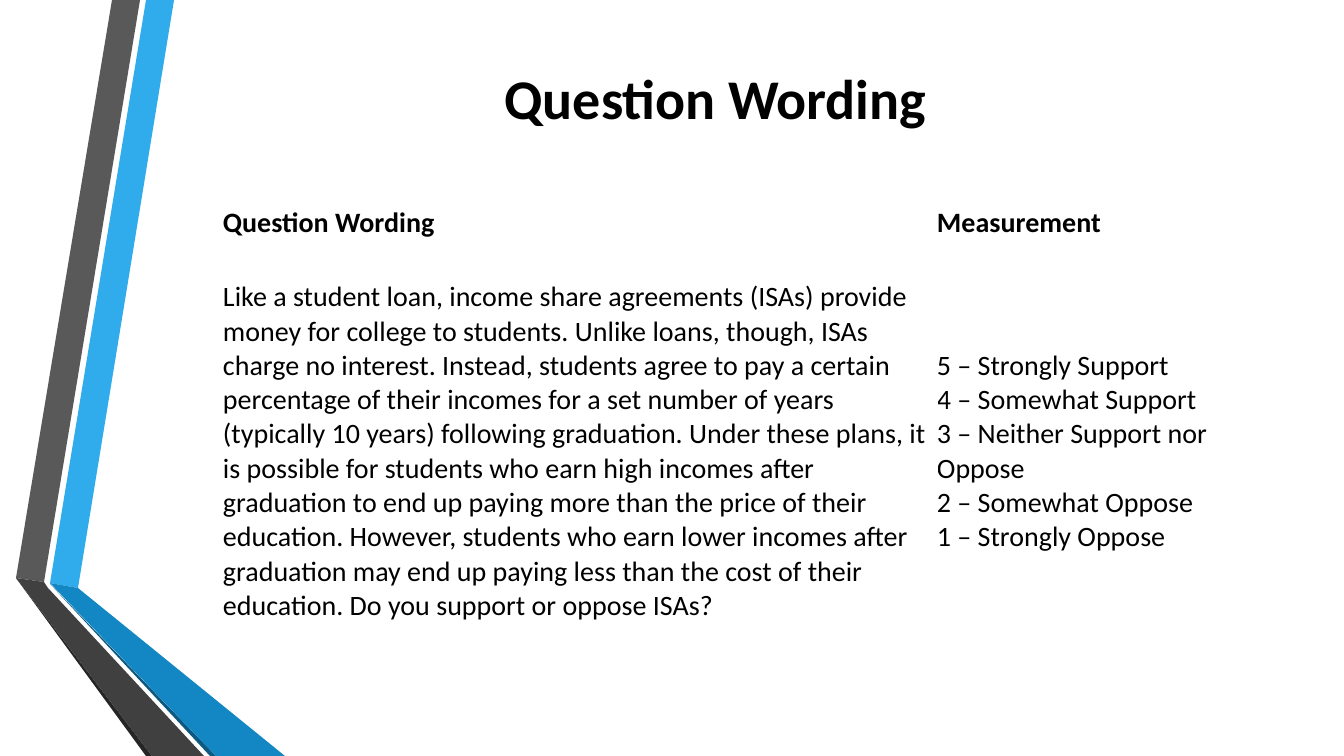
from pptx import Presentation
from pptx.dml.color import RGBColor
from pptx.enum.text import MSO_ANCHOR, PP_ALIGN
from pptx.util import Emu, Pt

EMU_PER_PX = 914400 / 100.8
FONT = "Calibri"
BLACK = "000000"

RIBBONS = [
    ("30ACEC", [(50, 583), (78, 588), (174, 0), (146, 0)]),
    ("595959", [(140, 0), (112, 0), (16, 578), (44, 582)]),
    ("262626", [(16, 578), (146, 756), (152, 756)]),
    ("0C5A82", [(50, 584), (210, 756), (216, 756)]),
    ("1287C3", [(50, 583), (216, 756), (285, 756), (78, 588)]),
    ("404040", [(16, 578), (152, 756), (204, 756), (48, 588), (44, 582)]),
]

QUESTION = (
    "Like a student loan, income share agreements (ISAs) provide money for "
    "college to students. Unlike loans, though, ISAs charge no interest. "
    "Instead, students agree to pay a certain percentage of their incomes for "
    "a set number of years (typically 10 years) following graduation. Under "
    "these plans, it is possible for students who earn high incomes after "
    "graduation to end up paying more than the price of their education.\u00a0"
    "However, students who earn lower incomes after graduation may end up "
    "paying less than the cost of their education. Do you support or oppose "
    "ISAs?"
)
SCALE = [
    "5 – Strongly Support",
    "4 – Somewhat Support",
    "3 – Neither Support nor Oppose",
    "2 – Somewhat Oppose",
    "1 – Strongly Oppose",
]
ROWS = [
    (["Question Wording"], ["Measurement"]),
    ([QUESTION], SCALE),
]


def px(n):
    return Emu(round(n * EMU_PER_PX))


def rgb(color):
    return RGBColor.from_string(color)


def write(tf, lines, size, bold, align=PP_ALIGN.LEFT):
    tf.text = "\n".join(lines)
    for p in tf.paragraphs:
        p.alignment = align
        p.font.name = FONT
        p.font.size = Pt(size)
        p.font.bold = bold
        p.font.color.rgb = rgb(BLACK)


def add_ribbon(slide, color, points):
    builder = slide.shapes.build_freeform(*points[0], scale=EMU_PER_PX)
    builder.add_line_segments(points[1:], close=True)
    sp = builder.convert_to_shape()
    sp.shadow.inherit = False
    sp.fill.solid()
    sp.fill.fore_color.rgb = rgb(color)
    sp.line.fill.background()


def set_title(slide, text):
    title = slide.shapes.title
    title.left, title.top = px(163), px(0)
    title.width, title.height = px(1105), px(194)
    tf = title.text_frame
    tf.vertical_anchor = MSO_ANCHOR.MIDDLE
    write(tf, [text], 40, True, PP_ALIGN.CENTER)


def add_question_table(slide):
    widths, heights, margins = (720, 314), (57, 401), (6, 0)
    table = slide.shapes.add_table(
        len(ROWS), len(widths), px(217), px(194), px(sum(widths)), px(sum(heights))
    ).table
    table.first_row = table.horz_banding = False
    for column, width in zip(table.columns, widths):
        column.width = px(width)
    for r, (row, height) in enumerate(zip(ROWS, heights)):
        table.rows[r].height = px(height)
        for c, lines in enumerate(row):
            cell = table.cell(r, c)
            cell.fill.background()
            cell.vertical_anchor = MSO_ANCHOR.MIDDLE
            cell.margin_left = cell.margin_right = px(margins[c])
            cell.margin_top = cell.margin_bottom = px(margins[c])
            write(cell.text_frame, lines, 20, r == 0)


def main():
    prs = Presentation()
    prs.slide_width, prs.slide_height = px(1344), px(756)
    slide = prs.slides.add_slide(prs.slide_layouts[5])
    for color, points in RIBBONS:
        add_ribbon(slide, color, points)
    set_title(slide, "Question Wording")
    add_question_table(slide)
    prs.save("out.pptx")


main()
